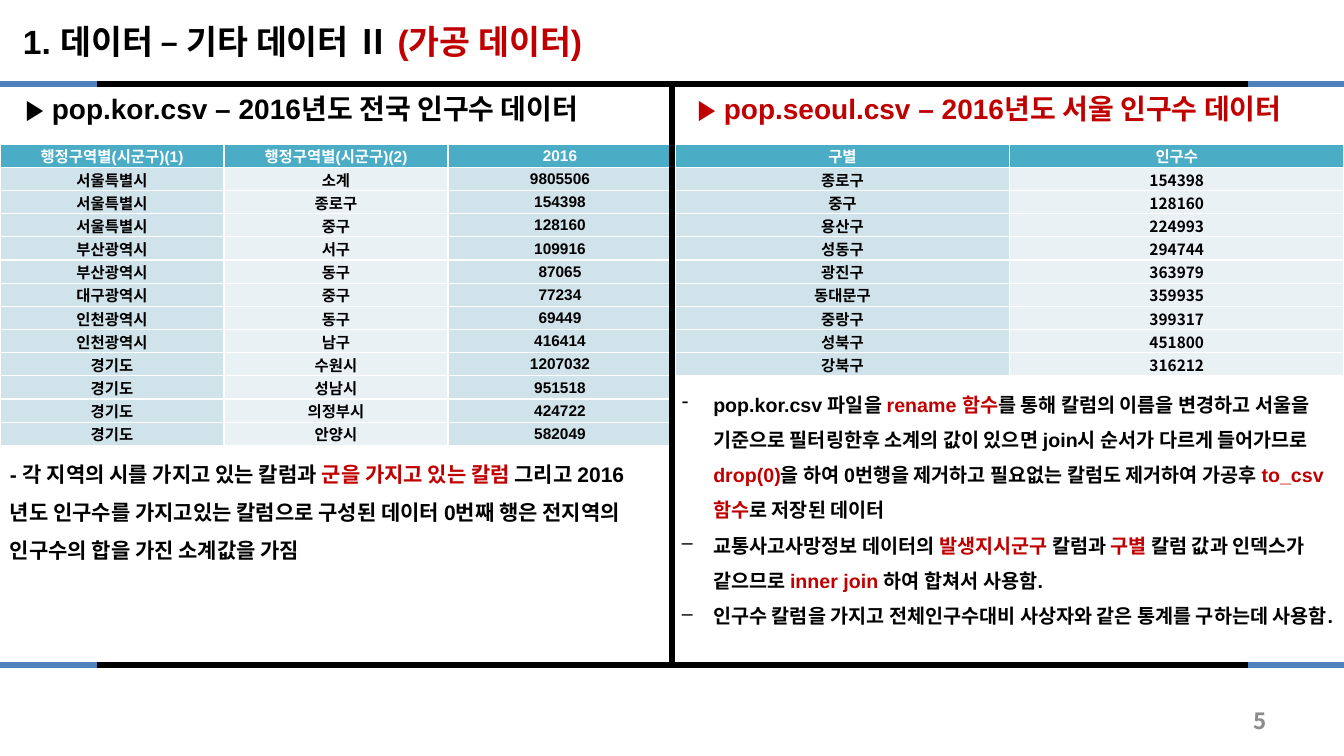
from dataclasses import dataclass

from lxml.etree import SubElement
from pptx import Presentation
from pptx.dml.color import RGBColor
from pptx.enum.shapes import MSO_CONNECTOR as Link
from pptx.enum.text import MSO_ANCHOR as Anchor, PP_ALIGN as Align
from pptx.oxml.ns import qn
from pptx.util import Cm, Pt

ARIAL, NOTO = "Arial", "Noto Sans CJK KR"
BLACK, RED, BLUE, WHITE, GREY = "000000", "C00000", "4F81BD", "FFFFFF", "8C8C8C"
HEAD, BANDS = "4BACC6", ("D0E3EA", "E9F1F5")
WIDE, HIGH = 33.87, 19.05
HALF = WIDE / 2
TOP, BASE = 2.11, 16.76


@dataclass
class Para:
    runs: list[tuple[str, str]]
    mark: str = ""


@dataclass
class Box:
    left: float
    top: float
    width: float
    height: float
    size: int
    paras: list[Para]
    font: str = ARIAL
    align: Align = Align.LEFT
    anchor: Anchor = Anchor.TOP
    inset: float = 0.25
    space: float = 1.0
    wrap: bool = True


@dataclass
class Rule:
    x1: float
    y1: float
    x2: float
    y2: float
    tint: str
    weight: float = 4


@dataclass
class Grid:
    left: float
    top: float
    width: float
    height: float
    font: str
    rows: list[list[str]]


def color(tint: str) -> RGBColor:
    return RGBColor.from_string(tint)


def style(para, font: str, size: int) -> None:
    para.font.name = font
    para.font.size = Pt(size)
    para.font.bold = True


def draw_box(slide, box: Box) -> None:
    shape = slide.shapes.add_textbox(Cm(box.left), Cm(box.top), Cm(box.width), Cm(box.height))
    frame = shape.text_frame
    frame.word_wrap = box.wrap
    frame.vertical_anchor = box.anchor
    frame.margin_left = Cm(box.inset)
    for i, item in enumerate(box.paras):
        para = frame.add_paragraph() if i else frame.paragraphs[0]
        style(para, box.font, box.size)
        para.alignment = box.align
        para.line_spacing = box.space
        for text, tint in item.runs:
            run = para.add_run()
            run.text = text
            run.font.color.rgb = color(tint)
        if item.mark:
            props = para._p.get_or_add_pPr()
            props.set("marL", str(Cm(0.79)))
            props.set("indent", str(-Cm(0.79)))
            bullet = SubElement(props, qn("a:buChar"))
            bullet.set("char", item.mark)
            props.find(qn("a:defRPr")).addprevious(bullet)


def draw_rule(slide, rule: Rule) -> None:
    line = slide.shapes.add_connector(
        Link.STRAIGHT, Cm(rule.x1), Cm(rule.y1), Cm(rule.x2), Cm(rule.y2))
    line.line.color.rgb = color(rule.tint)
    line.line.width = Pt(rule.weight)
    SubElement(line._element.spPr, qn("a:effectLst"))


def draw_grid(slide, grid: Grid) -> None:
    tall, cols = len(grid.rows), len(grid.rows[0])
    table = slide.shapes.add_table(
        tall, cols, Cm(grid.left), Cm(grid.top), Cm(grid.width), Cm(grid.height)).table
    for r, row in enumerate(grid.rows):
        table.rows[r].height = Cm(grid.height / tall)
        for c, text in enumerate(row):
            cell = table.cell(r, c)
            cell.text = text
            cell.vertical_anchor = Anchor.MIDDLE
            cell.margin_left = cell.margin_right = cell.margin_top = Cm(0.02)
            cell.margin_bottom = 0
            cell.fill.solid()
            cell.fill.fore_color.rgb = color(BANDS[c % 2] if r else HEAD)
            para = cell.text_frame.paragraphs[0]
            para.alignment = Align.CENTER
            style(para, grid.font, 11)
            para.runs[0].font.color.rgb = color(BLACK if r else WHITE)


NATION = [
    ["행정구역별(시군구)(1)", "행정구역별(시군구)(2)", "2016"],
    ["서울특별시", "소계", "9805506"],
    ["서울특별시", "종로구", "154398"],
    ["서울특별시", "중구", "128160"],
    ["부산광역시", "서구", "109916"],
    ["부산광역시", "동구", "87065"],
    ["대구광역시", "중구", "77234"],
    ["인천광역시", "동구", "69449"],
    ["인천광역시", "남구", "416414"],
    ["경기도", "수원시", "1207032"],
    ["경기도", "성남시", "951518"],
    ["경기도", "의정부시", "424722"],
    ["경기도", "안양시", "582049"],
]
SEOUL = [
    ["구별", "인구수"],
    ["종로구", "154398"],
    ["중구", "128160"],
    ["용산구", "224993"],
    ["성동구", "294744"],
    ["광진구", "363979"],
    ["동대문구", "359935"],
    ["중랑구", "399317"],
    ["성북구", "451800"],
    ["강북구", "316212"],
]
GRIDS = [
    Grid(0, 3.63, HALF, 7.57, ARIAL, NATION),
    Grid(17.02, 3.63, 16.85, 5.84, NOTO, SEOUL),
]
RULES = [
    Rule(x1, y, x2, y, tint)
    for y in (TOP, BASE)
    for x1, x2, tint in ((2.44, 31.95, BLACK), (0, 2.44, BLUE), (31.45, WIDE, BLUE))
] + [Rule(HALF, 2.18, HALF, BASE, BLACK, 4.5)]

LEFT_NOTE = [Para([
    ("- 각 지역의 시를 가지고 있는 칼럼과 ", BLACK),
    ("군을 가지고 있는 칼럼 ", RED),
    ("그리고 2016년도 인구수를 가지고있는 칼럼으로 구성된 데이터 "
     "0번째 행은 전지역의 인구수의 합을 가진 소계값을 가짐", BLACK),
])]
RIGHT_NOTE = [
    Para([
        ("pop.kor.csv 파일을 ", BLACK),
        ("rename 함수", RED),
        ("를 통해 칼럼의 이름을 변경하고 서울을 기준으로 필터링한후 "
         "소계의 값이 있으면 join시 순서가 다르게 들어가므로 ", BLACK),
        ("drop(0)", RED),
        ("을 하여 0번행을 제거하고 필요없는 칼럼도 제거하여 가공후 ", BLACK),
        ("to_csv 함수", RED),
        ("로 저장된 데이터", BLACK),
    ], "-"),
    Para([
        ("교통사고사망정보 데이터의 ", BLACK),
        ("발생지시군구 ", RED),
        ("칼럼과 ", BLACK),
        ("구별", RED),
        (" 칼럼 값과 인덱스가 같으므로 ", BLACK),
        ("inner join ", RED),
        ("하여 합쳐서 사용함.", BLACK),
    ], "–"),
    Para([("인구수 칼럼을 가지고 전체인구수대비 사상자와 같은 통계를 구하는데 사용함.", BLACK)], "–"),
]
BOXES = [
    Box(24.26, 17.65, 7.9, 1.02, 16, [Para([("5", GREY)])], NOTO, Align.RIGHT, Anchor.MIDDLE),
    Box(0.33, 0.41, 16.38, 1.27, 24,
        [Para([("1. 데이터 – 기타 데이터 Ⅱ ", BLACK), ("(가공 데이터)", RED)])], wrap=False),
    Box(0, 2.18, HALF, 1.12, 20,
        [Para([("▶ pop.kor.csv – 2016년도 전국 인구수 데이터", BLACK)])], inset=0.64),
    Box(HALF, 2.18, HALF, 1.12, 20,
        [Para([("▶ pop.seoul.csv – 2016년도 서울 인구수 데이터", RED)])], inset=0.64),
    Box(0, 11.2, HALF, 3.15, 15, LEFT_NOTE, space=1.5),
    Box(HALF, 9.47, HALF, 7.44, 14, RIGHT_NOTE, space=1.5),
]


def main() -> None:
    deck = Presentation()
    deck.slide_width, deck.slide_height = Cm(WIDE), Cm(HIGH)
    slide = deck.slides.add_slide(deck.slide_layouts[6])
    for grid in GRIDS:
        draw_grid(slide, grid)
    for rule in RULES:
        draw_rule(slide, rule)
    for box in BOXES:
        draw_box(slide, box)
    deck.save("out.pptx")


if __name__ == "__main__":
    main()
